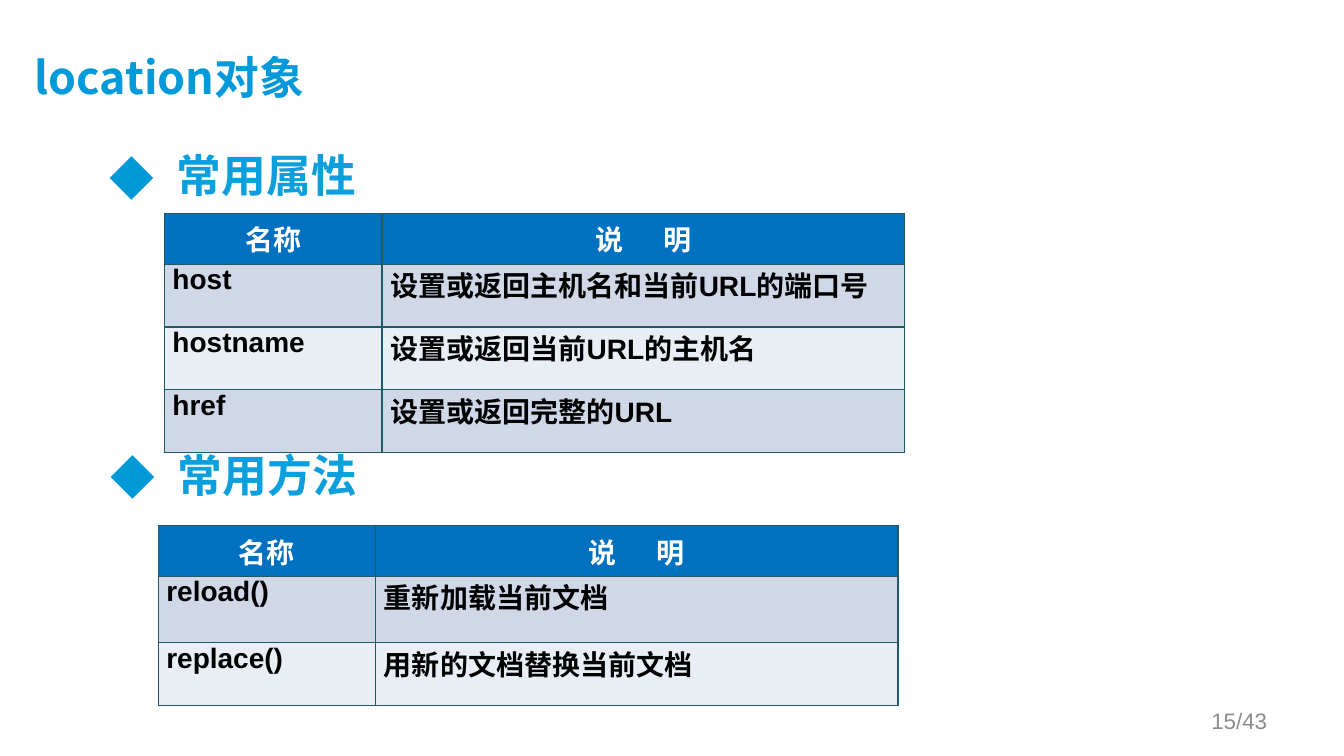
from lxml.etree import SubElement
from pptx import Presentation
from pptx.dml.color import RGBColor
from pptx.enum.text import MSO_ANCHOR, PP_ALIGN
from pptx.oxml.ns import qn
from pptx.util import Pt

COLORS = {
    "title": "009ADA", "heading": "0B9FDD", "bullet": "0099D8", "header": "0070C0",
    "odd": "D0D8E8", "even": "E9EDF4", "border": "215968", "white": "FFFFFF",
    "black": "000000", "page": "8C8C8C",
}
CJK_FONT = "Noto Sans CJK SC"
TITLE = "location对象"
PAGE_NUMBER = "15/43"
HEADER = ("名称", ("说 ", "明"))
SECTIONS = [
    {
        "heading": "常用属性", "heading_box": (71.3, 106.6, 815, 356.4),
        "table_at": (117.4, 152.4), "row_heights": (36.4, 44.8, 44.8, 44.8),
        "rows": [
            ("host", "设置或返回主机名和当前URL的端口号"),
            ("hostname", "设置或返回当前URL的主机名"),
            ("href", "设置或返回完整的URL"),
        ],
    },
    {
        "heading": "常用方法", "heading_box": (72, 320.4, 624.2, 258.5),
        "table_at": (113, 375.3), "row_heights": (36.4, 47.5, 44.8),
        "rows": [
            ("reload()", "重新加载当前文档"),
            ("replace()", "用新的文档替换当前文档"),
        ],
    },
]
COLUMN_WIDTHS = (155.5, 373)
HEADER_TRACKING = 12


def write_text(frame, text, font=CJK_FONT, size=32, color="black", bold=True,
               align=PP_ALIGN.LEFT, anchor=MSO_ANCHOR.TOP, line_spacing=None,
               bullet=False):
    """Write one paragraph; a tuple gives runs that are spread apart."""
    frame.word_wrap = True
    frame.vertical_anchor = anchor
    paragraph = frame.paragraphs[0]
    if bullet:
        properties = paragraph._p.get_or_add_pPr()
        properties.set("marL", str(Pt(48)))
        properties.set("indent", str(Pt(-48)))
        bullet_color = SubElement(properties, qn("a:buClr"))
        SubElement(bullet_color, qn("a:srgbClr"), val=COLORS["bullet"])
        SubElement(properties, qn("a:buFont"), typeface=CJK_FONT)
        SubElement(properties, qn("a:buChar"), char="◆")
    paragraph.alignment = align
    if line_spacing:
        paragraph.line_spacing = line_spacing
    pieces = text if isinstance(text, tuple) else (text,)
    for index, piece in enumerate(pieces):
        run = paragraph.add_run()
        run.text = piece
        run.font.name = font
        run.font.size = Pt(size)
        run.font.bold = bold
        run.font.color.rgb = RGBColor.from_string(COLORS[color])
        run_properties = run._r.get_or_add_rPr()
        SubElement(run_properties, qn("a:ea"), typeface=CJK_FONT)
        if index < len(pieces) - 1:
            run_properties.set("spc", str(HEADER_TRACKING * 100))


def add_text_box(slide, box, text, **text_format):
    """Add a text box and return its text frame."""
    frame = slide.shapes.add_textbox(*map(Pt, box)).text_frame
    write_text(frame, text, **text_format)
    return frame


def style_cell(cell, fill):
    """Give a cell its fill and a thin border on each side."""
    cell.fill.solid()
    cell.fill.fore_color.rgb = RGBColor.from_string(COLORS[fill])
    properties = cell._tc.get_or_add_tcPr()
    for index, side in enumerate(("a:lnL", "a:lnR", "a:lnT", "a:lnB")):
        line = SubElement(properties, qn(side), w=str(Pt(1)))
        line_fill = SubElement(line, qn("a:solidFill"))
        SubElement(line_fill, qn("a:srgbClr"), val=COLORS["border"])
        properties.insert(index, line)


def add_section_table(slide, section):
    """Add the name and description table of one section."""
    rows = [HEADER] + section["rows"]
    heights = section["row_heights"]
    table = slide.shapes.add_table(
        len(rows), len(COLUMN_WIDTHS), *map(Pt, section["table_at"]),
        Pt(sum(COLUMN_WIDTHS)), Pt(sum(heights))).table
    for column, width in zip(table.columns, COLUMN_WIDTHS):
        column.width = Pt(width)
    for row_index, (row, height) in enumerate(zip(rows, heights)):
        table.rows[row_index].height = Pt(height)
        for column_index, text in enumerate(row):
            cell = table.cell(row_index, column_index)
            if row_index == 0:
                style_cell(cell, "header")
                write_text(cell.text_frame, text, font="Calibri", size=20,
                           color="white", align=PP_ALIGN.CENTER)
            else:
                style_cell(cell, "odd" if row_index % 2 else "even")
                cell.margin_left = cell.margin_right = Pt(5.8)
                cell.margin_top, cell.margin_bottom = Pt(0), Pt(2.2)
                write_text(cell.text_frame, text, font="Arial", size=20)


def main():
    """Build the slide and save it."""
    presentation = Presentation()
    presentation.slide_width, presentation.slide_height = Pt(960), Pt(540)
    slide = presentation.slides.add_slide(presentation.slide_layouts[6])
    title = add_text_box(slide, (24.5, 21.6, 864.7, 74.2), TITLE, color="title",
                         anchor=MSO_ANCHOR.MIDDLE, line_spacing=0.9)
    title.margin_left = title.margin_top = Pt(0)
    for section in SECTIONS:
        add_text_box(slide, section["heading_box"], section["heading"],
                     color="heading", line_spacing=0.9, bullet=True)
        add_section_table(slide, section)
    add_text_box(slide, (688.3, 500.4, 223.9, 28.8), PAGE_NUMBER, font="Arial",
                 size=16, color="page", bold=False, align=PP_ALIGN.RIGHT,
                 anchor=MSO_ANCHOR.MIDDLE)
    presentation.save("out.pptx")


if __name__ == "__main__":
    main()
